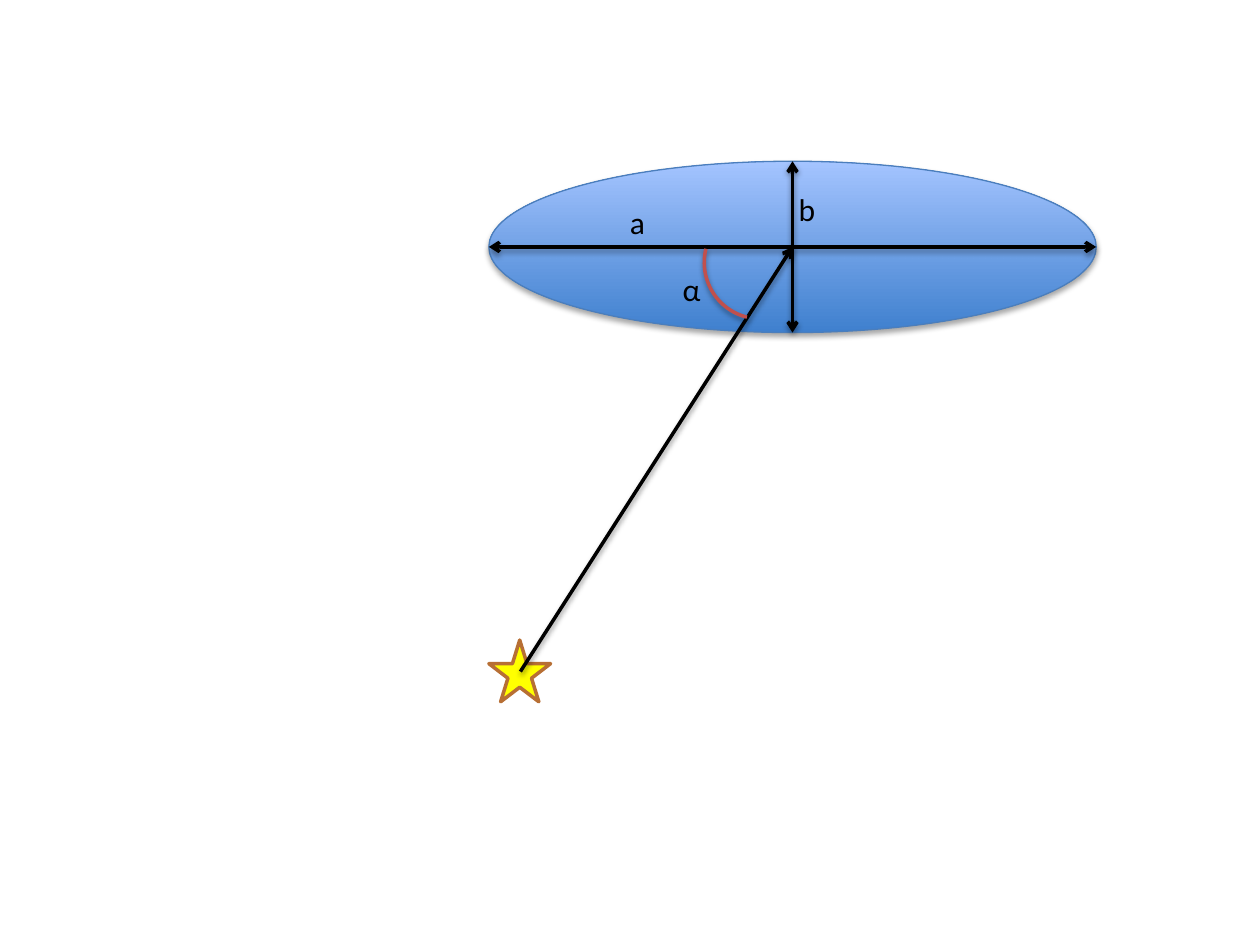
from dataclasses import dataclass

from lxml import etree
from pptx import Presentation
from pptx import util as u
from pptx.dml.color import RGBColor
from pptx.enum import shapes, text
from pptx.oxml import ns

BLACK = RGBColor(0x00, 0x00, 0x00)
DISK_BOTTOM = RGBColor(0x3F, 0x80, 0xCE)
DISK_TOP = RGBColor(0xA4, 0xC4, 0xFF)
DISK_EDGE = RGBColor(0x4B, 0x7E, 0xBC)
STAR_YELLOW = RGBColor(0xFF, 0xFF, 0x00)
STAR_EDGE = RGBColor(0xB7, 0x6F, 0x34)
ANGLE_RED = RGBColor(0xC0, 0x50, 0x4D)

LEFT, RIGHT, TOP, BOTTOM = 3.88, 8.7, 1.28, 2.64
CENTER = ((LEFT + RIGHT) / 2, (TOP + BOTTOM) / 2)
STAR_SIZE = 0.49


@dataclass
class Arrow:
    start: tuple[float, float]
    end: tuple[float, float]
    double: bool = True


@dataclass
class Label:
    wording: str
    left: float
    top: float
    width: float
    height: float
    wrap: bool = True


def add_shadow(item, opacity: int = 38, distance: float = 1.6) -> None:
    effects = etree.SubElement(item._element.spPr, ns.qn("a:effectLst"))
    shadow = etree.SubElement(
        effects, ns.qn("a:outerShdw"), blurRad=str(u.Pt(3.1)),
        dist=str(u.Pt(distance)), dir="5400000", rotWithShape="0")
    color = etree.SubElement(shadow, ns.qn("a:srgbClr"), val=str(BLACK))
    etree.SubElement(color, ns.qn("a:alpha"), val=str(opacity * 1000))


def set_line(item, color: RGBColor, width: float = 2) -> None:
    item.line.color.rgb = color
    item.line.width = u.Pt(width)


def add_figure(slide, preset, left: float, top: float, width: float,
               height: float, edge: RGBColor, edge_width: float = 2):
    figure = slide.shapes.add_shape(
        preset, *map(u.Inches, (left, top, width, height)))
    set_line(figure, edge, edge_width)
    return figure


def add_arrow(slide, arrow: Arrow) -> None:
    line = slide.shapes.add_connector(
        shapes.MSO_CONNECTOR.STRAIGHT,
        *map(u.Inches, (*arrow.start, *arrow.end)))
    set_line(line, BLACK)
    ends = ("a:headEnd", "a:tailEnd") if arrow.double else ("a:tailEnd",)
    for end in ends:
        etree.SubElement(line.line._get_or_add_ln(), ns.qn(end), type="arrow")
    add_shadow(line)


def add_label(slide, label: Label) -> None:
    box = slide.shapes.add_textbox(
        *map(u.Inches, (label.left, label.top, label.width, label.height)))
    frame = box.text_frame
    frame.word_wrap = label.wrap
    frame.auto_size = text.MSO_AUTO_SIZE.SHAPE_TO_FIT_TEXT
    run = frame.paragraphs[0].add_run()
    run.text = label.wording
    for attribute, value in {"name": "Calibri", "size": u.Pt(18)}.items():
        setattr(run.font, attribute, value)
    run.font.color.rgb = BLACK


presentation = Presentation()
presentation.slide_width = u.Inches(10)
presentation.slide_height = u.Inches(7.5)
slide = presentation.slides.add_slide(presentation.slide_layouts[6])

disk = add_figure(slide, shapes.MSO_SHAPE.OVAL, LEFT, TOP,
                  RIGHT - LEFT, BOTTOM - TOP, DISK_EDGE, 0.75)
disk.fill.gradient()
disk.fill.gradient_angle = 90
for stop, color in zip(disk.fill.gradient_stops, (DISK_BOTTOM, DISK_TOP)):
    stop.color.rgb = color
add_shadow(disk, 35, 1.8)

add_arrow(slide, Arrow((LEFT, CENTER[1]), (RIGHT, CENTER[1])))

star = add_figure(slide, shapes.MSO_SHAPE.STAR_5_POINT, LEFT, 5.08,
                  STAR_SIZE, STAR_SIZE, STAR_EDGE)
star.fill.solid()
star.fill.fore_color.rgb = STAR_YELLOW
star.shadow.inherit = False

for arrow in (
    Arrow((4.13, 5.33), CENTER, double=False),
    Arrow((CENTER[0], TOP), (CENTER[0], BOTTOM)),
):
    add_arrow(slide, arrow)

for label in (
    Label("a", 4.9, 1.56, 0.31, 0.4),
    Label("b", 6.24, 1.46, 0.42, 0.42),
    Label("α", 5.32, 2.09, 0.35, 0.4, wrap=False),
):
    add_label(slide, label)

angle = add_figure(slide, shapes.MSO_SHAPE.ARC, 5.59, 1.63, 0.89, 0.9, ANGLE_RED)
angle.rotation = 193.7
angle.fill.background()
add_shadow(angle)

presentation.save("out.pptx")
